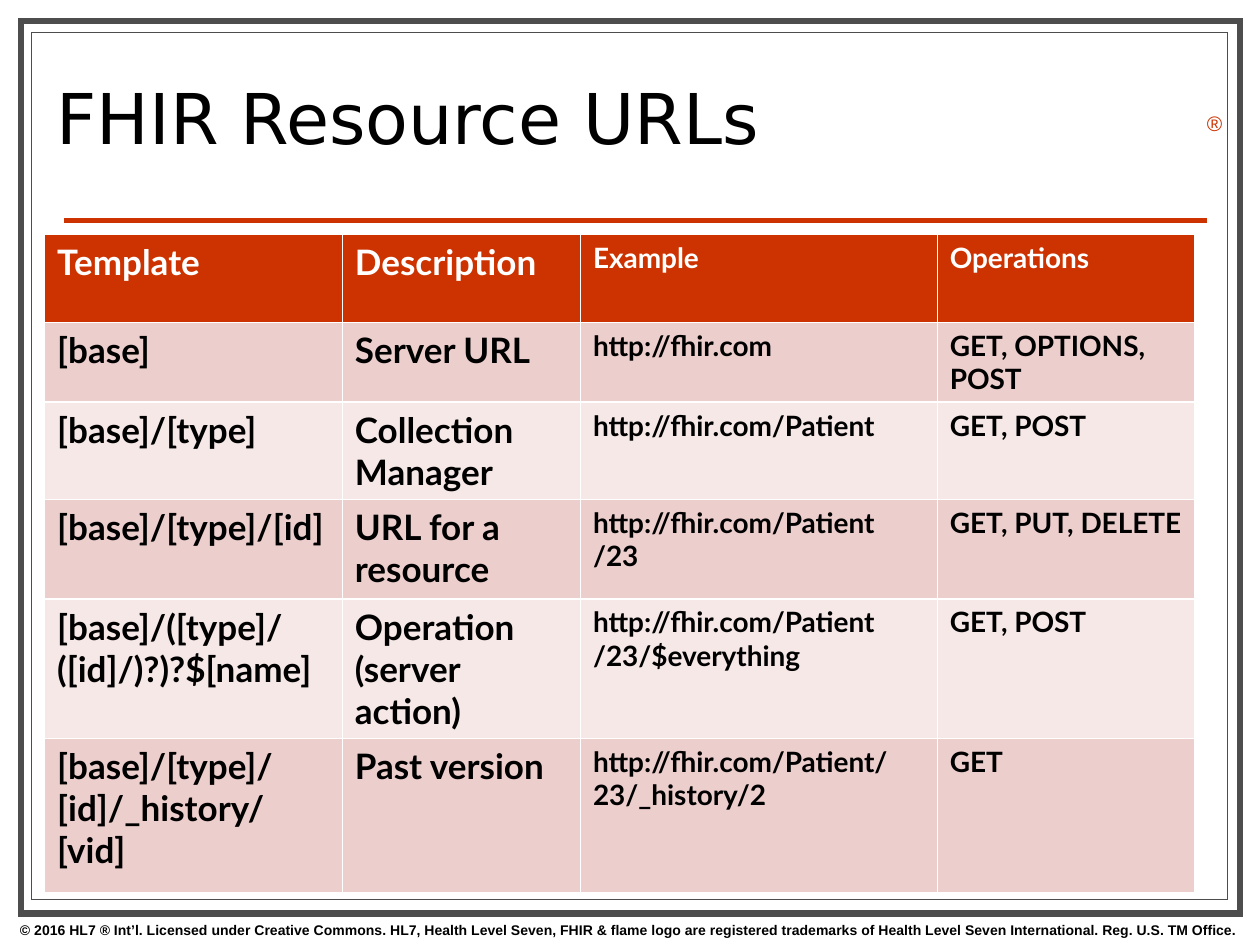
from lxml import etree
from pptx import Presentation
from pptx.dml.color import RGBColor
from pptx.enum.shapes import MSO_CONNECTOR, MSO_SHAPE
from pptx.enum.text import MSO_ANCHOR, MSO_AUTO_SIZE, PP_ALIGN
from pptx.oxml.ns import qn
from pptx.util import Pt

RECTANGLE = MSO_SHAPE.RECTANGLE
STRAIGHT = MSO_CONNECTOR.STRAIGHT
MIDDLE = MSO_ANCHOR.MIDDLE
NO_FIT = MSO_AUTO_SIZE.NONE
LEFT, CENTER = PP_ALIGN.LEFT, PP_ALIGN.CENTER
TITLE_ONLY = 5

WHITE, BLACK, GRAY, RED = "FFFFFF", "000000", "4D4D4D", "CC3300"
BAND_COLORS = ["ECCECC", "F6E8E7"]
COLUMN_WIDTHS = [170.1, 136.1, 203.9, 147.4]
COLUMN_SIZES = [20, 20, 16, 16]
ROW_HEIGHTS = [50.4, 35.3, 55.6, 56.9, 56.9, 88]
ROWS = [
    ["Template", "Description", "Example", "Operations"],
    ["[base]", "Server URL", "http://fhir.com", "GET, OPTIONS, POST"],
    ["[base]/[type]", "Collection Manager", "http://fhir.com/Patient", "GET, POST"],
    ["[base]/[type]/[id]", "URL for a resource", "http://fhir.com/Patient\n/23", "GET, PUT, DELETE"],
    ["[base]/([type]/([id]/)?)?$[name]", "Operation (server action)",
     "http://fhir.com/Patient\v/23/$everything", "GET, POST"],
    ["[base]/[type]/[id]/_history/[vid]", "Past version", "http://fhir.com/Patient/23/_history/2", "GET"],
]
COPYRIGHT = ("© 2016 HL7 ® Int’l. Licensed under Creative Commons. HL7, Health Level Seven, "
             "FHIR & flame logo are registered trademarks of Health Level Seven International. "
             "Reg. U.S. TM Office.")


def color(value):
    return RGBColor.from_string(value)


def write(frame, text, font_name, size, text_color, bold=False, align=LEFT):
    frame.text = text
    for para in frame.paragraphs:
        para.alignment = align
        para.font.name = font_name
        para.font.size = Pt(size)
        para.font.bold = bold
        para.font.color.rgb = color(text_color)


def add_frame(slide, left, top, width, height, line_width):
    frame = slide.shapes.add_shape(RECTANGLE, Pt(left), Pt(top), Pt(width), Pt(height))
    frame.shadow.inherit = False
    frame.fill.solid()
    frame.fill.fore_color.rgb = color(WHITE)
    frame.line.color.rgb = color(GRAY)
    frame.line.width = Pt(line_width)
    etree.SubElement(frame._element.spPr.find(qn("a:ln")), qn("a:miter"), lim="800000")


def add_rule(slide, left, right, top):
    rule = slide.shapes.add_connector(STRAIGHT, Pt(left), Pt(top), Pt(right), Pt(top))
    rule.line.color.rgb = color(RED)
    rule.line.width = Pt(3)
    etree.SubElement(rule._element.spPr, qn("a:effectLst"))


def add_label(slide, left, top, width, height, text, size, text_color, bold=False, align=LEFT):
    box = slide.shapes.add_textbox(Pt(left), Pt(top), Pt(width), Pt(height))
    box.text_frame.word_wrap = False
    write(box.text_frame, text, "Arial", size, text_color, bold, align)


def set_title(slide, text):
    title = slide.shapes.title
    title.left, title.top, title.width, title.height = Pt(25.2), Pt(25.9), Pt(516.2), Pt(90.7)
    frame = title.text_frame
    frame.vertical_anchor = MIDDLE
    frame.auto_size = NO_FIT
    write(frame, text, "DejaVu Sans", 40, BLACK)
    frame.paragraphs[0].line_spacing = 0.8
    title._element.getparent().append(title._element)


def set_borders(cell):
    properties = cell._tc.get_or_add_tcPr()
    for side in "LRTB":
        line = etree.SubElement(properties, qn(f"a:ln{side}"), w=str(Pt(1)))
        fill = etree.SubElement(line, qn("a:solidFill"))
        etree.SubElement(fill, qn("a:srgbClr"), val=WHITE)


def add_url_table(slide, left, top):
    shape = slide.shapes.add_table(len(ROWS), len(COLUMN_WIDTHS), Pt(left), Pt(top),
                                   Pt(sum(COLUMN_WIDTHS)), Pt(sum(ROW_HEIGHTS)))
    table = shape.table
    for column, width in zip(table.columns, COLUMN_WIDTHS):
        column.width = Pt(width)
    for index, (row, height, texts) in enumerate(zip(table.rows, ROW_HEIGHTS, ROWS)):
        row.height = Pt(height)
        is_header = index == 0
        for cell, text, size in zip(row.cells, texts, COLUMN_SIZES):
            set_borders(cell)
            cell.fill.solid()
            cell.fill.fore_color.rgb = color(RED if is_header else BAND_COLORS[(index - 1) % 2])
            write(cell.text_frame, text, "Lato", size, WHITE if is_header else BLACK, bold=True)


def main():
    deck = Presentation()
    deck.slide_width, deck.slide_height = Pt(720), Pt(540)
    slide = deck.slides.add_slide(deck.slide_layouts[TITLE_ONLY])
    add_frame(slide, 12.2, 12.2, 696.2, 509.8, 3.5)
    add_frame(slide, 18, 18.7, 683.3, 495.4, 0.75)
    add_rule(slide, 36.7, 689.8, 126)
    add_label(slide, -0.4, 523, 720, 16.6, COPYRIGHT, 8, BLACK, bold=True, align=CENTER)
    add_label(slide, 682.6, 59.8, 22.3, 21.6, "®", 12, RED)
    set_title(slide, "FHIR Resource URLs")
    add_url_table(slide, 25.5, 134)
    deck.save("out.pptx")


if __name__ == "__main__":
    main()
